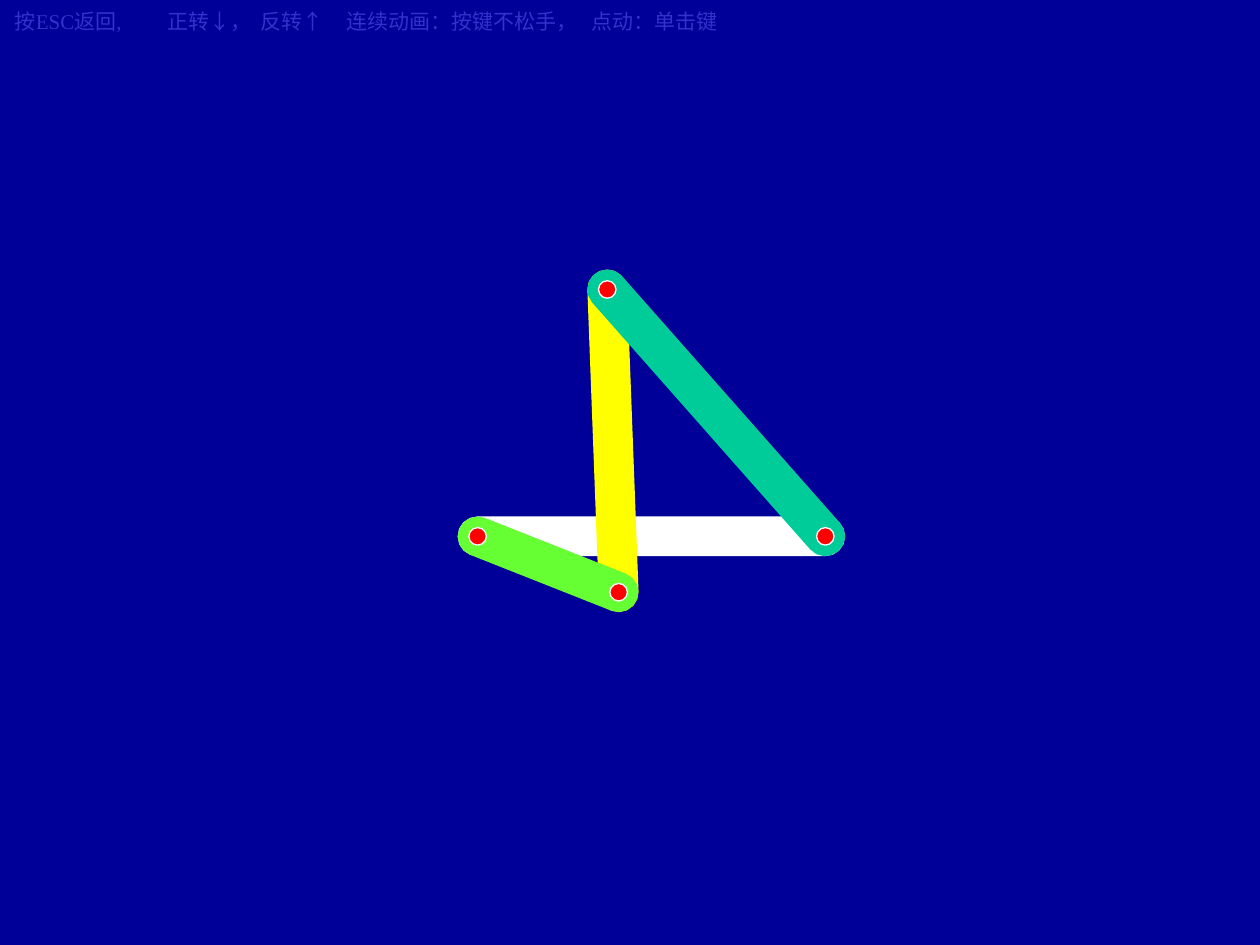
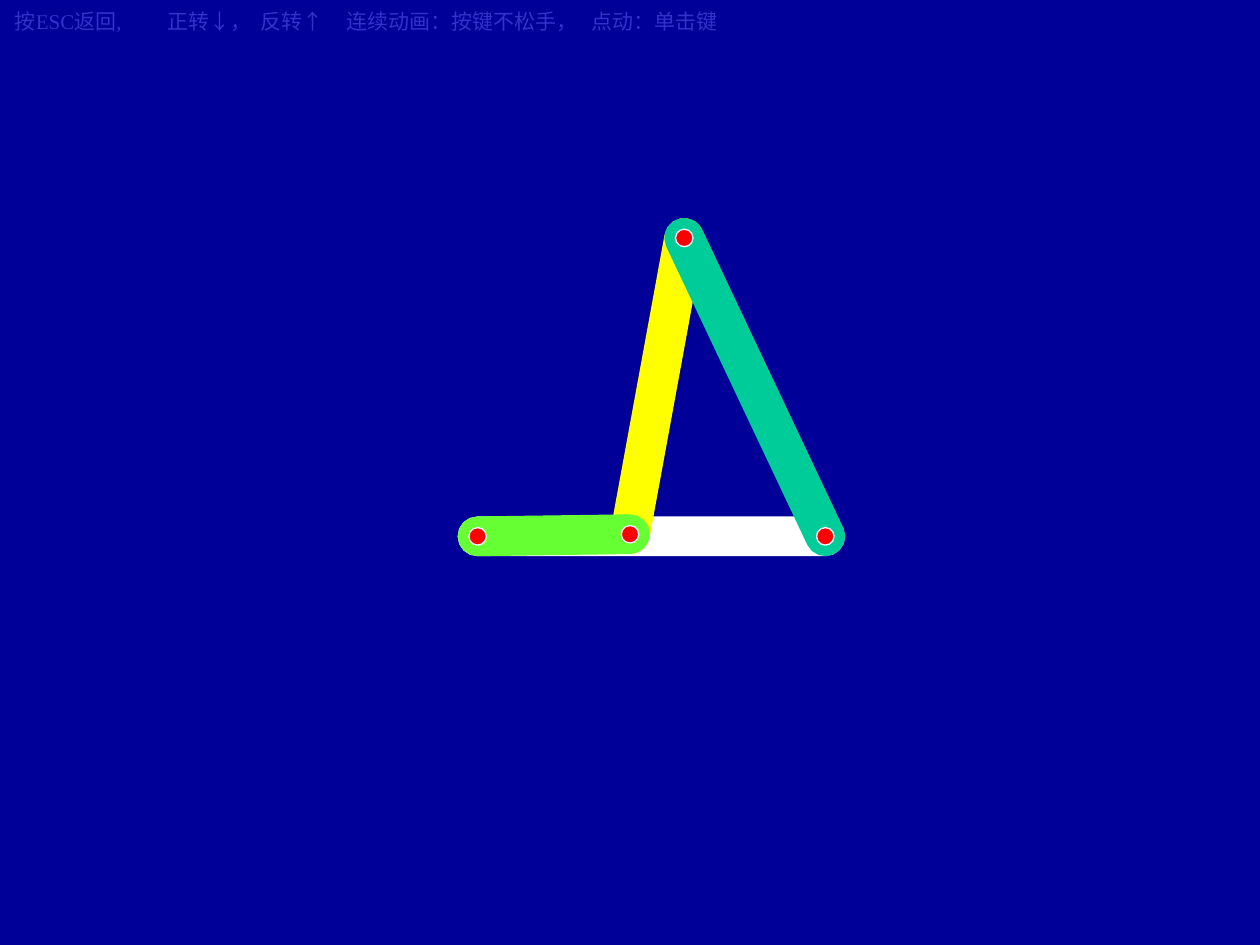
from dataclasses import dataclass
from math import atan2, cos, pi, sin

from lxml import etree
from pptx import Presentation
from pptx.dml.color import RGBColor
from pptx.enum.shapes import MSO_SHAPE
from pptx.enum.text import MSO_ANCHOR, MSO_AUTO_SIZE, PP_ALIGN
from pptx.oxml.ns import qn
from pptx.util import Pt

OVAL = MSO_SHAPE.OVAL
TOP = MSO_ANCHOR.TOP
FIT_SHAPE = MSO_AUTO_SIZE.SHAPE_TO_FIT_TEXT
LEFT = PP_ALIGN.LEFT


@dataclass(frozen=True)
class Theme:
    background: str = "000099"
    hint: str = "3333CC"
    ground: str = "FFFFFF"
    coupler: str = "FFFF00"
    crank: str = "66FF33"
    rocker: str = "00CC99"
    pin: str = "FF0000"
    pin_rim: str = "FFFFFF"
    font: str = "Times New Roman"
    hint_size: float = 12
    outline: float = 0.75


@dataclass(frozen=True)
class Box:
    left: float
    top: float
    width: float
    height: float


THEME = Theme()
HINT_BOX = Box(1.4, 1.4, 467.3, 21.6)
LINKAGE_BOX = Box(262, 125, 222, 225)
HINT_PARTS = ["按ESC返回,", "正转↓，", "反转↑", "连续动画：按键不松手，", "点动：单击键"]
HINT_TABS = [87.4, 140.6, 189.7, 329.7]

LINK_RADIUS = 11
PIN_RADIUS = 5
END_STEPS = 8
CRANK_PIVOT = (10.9, 181.5)
ROCKER_PIVOT = (209.6, 181.5)
POSES = [
    {"crank_tip": (91.5, 213.4), "rocker_tip": (85, 40.4)},
    {"crank_tip": (98, 180.3), "rocker_tip": (129, 11)},
]


def paint(shape, fill, line):
    shape.shadow.inherit = False
    shape.fill.solid()
    shape.fill.fore_color.rgb = RGBColor.from_string(fill)
    shape.line.color.rgb = RGBColor.from_string(line)
    shape.line.width = Pt(THEME.outline)


def add_hint(slide, box):
    hint = slide.shapes.add_textbox(Pt(box.left), Pt(box.top), Pt(box.width), Pt(box.height))
    frame = hint.text_frame
    frame.word_wrap = True
    frame.auto_size = FIT_SHAPE
    frame.vertical_anchor = TOP
    paragraph = frame.paragraphs[0]
    paragraph.alignment = LEFT
    tab_list = etree.SubElement(paragraph._p.get_or_add_pPr(), qn("a:tabLst"))
    for position in HINT_TABS:
        etree.SubElement(tab_list, qn("a:tab"), pos=str(int(Pt(position))), algn="l")
    for index, part in enumerate(HINT_PARTS):
        run = paragraph.add_run()
        run.text = "\t" + part if index else part
        run.font.name = THEME.font
        run.font.size = Pt(THEME.hint_size)
        run.font.color.rgb = RGBColor.from_string(THEME.hint)


def add_link(slide, box, start, end, color):
    heading = atan2(end[1] - start[1], end[0] - start[0])
    outline = []
    for (x, y), first_angle in ((end, heading - pi / 2), (start, heading + pi / 2)):
        for step in range(END_STEPS + 1):
            angle = first_angle + pi * step / END_STEPS
            outline.append((
                Pt(box.left + x + LINK_RADIUS * cos(angle)),
                Pt(box.top + y + LINK_RADIUS * sin(angle)),
            ))
    builder = slide.shapes.build_freeform(*outline[0])
    builder.add_line_segments(outline[1:], close=True)
    paint(builder.convert_to_shape(), color, color)


def add_pin(slide, box, center):
    pin = slide.shapes.add_shape(
        OVAL,
        Pt(box.left + center[0] - PIN_RADIUS),
        Pt(box.top + center[1] - PIN_RADIUS),
        Pt(2 * PIN_RADIUS),
        Pt(2 * PIN_RADIUS),
    )
    paint(pin, THEME.pin, THEME.pin_rim)


def add_linkage(slide, box, crank_tip, rocker_tip):
    add_link(slide, box, CRANK_PIVOT, ROCKER_PIVOT, THEME.ground)
    add_link(slide, box, crank_tip, rocker_tip, THEME.coupler)
    add_link(slide, box, CRANK_PIVOT, crank_tip, THEME.crank)
    add_link(slide, box, ROCKER_PIVOT, rocker_tip, THEME.rocker)
    for joint in (crank_tip, rocker_tip, ROCKER_PIVOT, CRANK_PIVOT):
        add_pin(slide, box, joint)


def add_pose_slide(deck, pose):
    slide = deck.slides.add_slide(deck.slide_layouts[6])
    slide.background.fill.solid()
    slide.background.fill.fore_color.rgb = RGBColor.from_string(THEME.background)
    add_linkage(slide, LINKAGE_BOX, **pose)
    add_hint(slide, HINT_BOX)


def main():
    deck = Presentation()
    deck.slide_width = Pt(720)
    deck.slide_height = Pt(540)
    for pose in POSES:
        add_pose_slide(deck, pose)
    deck.save("out.pptx")


if __name__ == "__main__":
    main()
